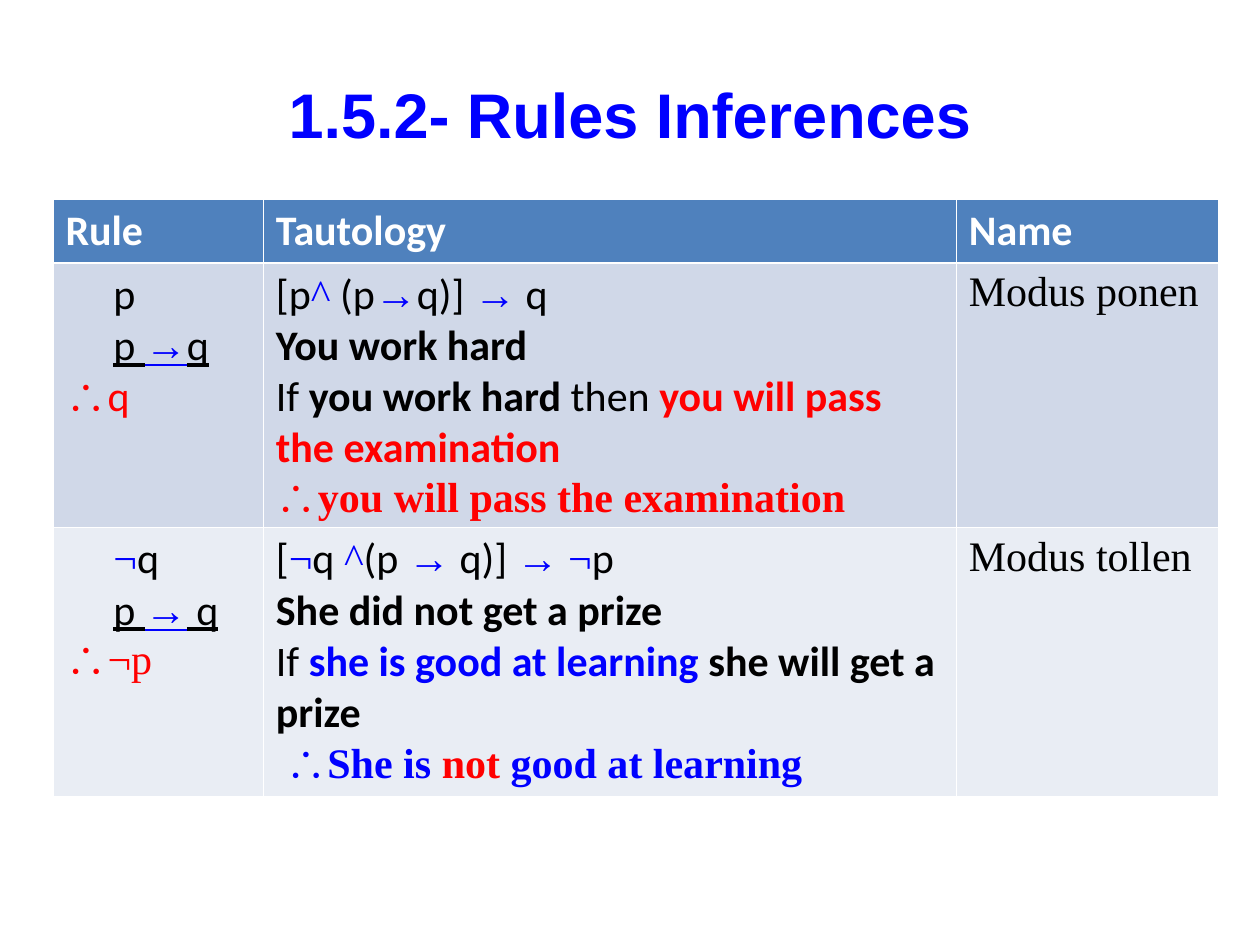
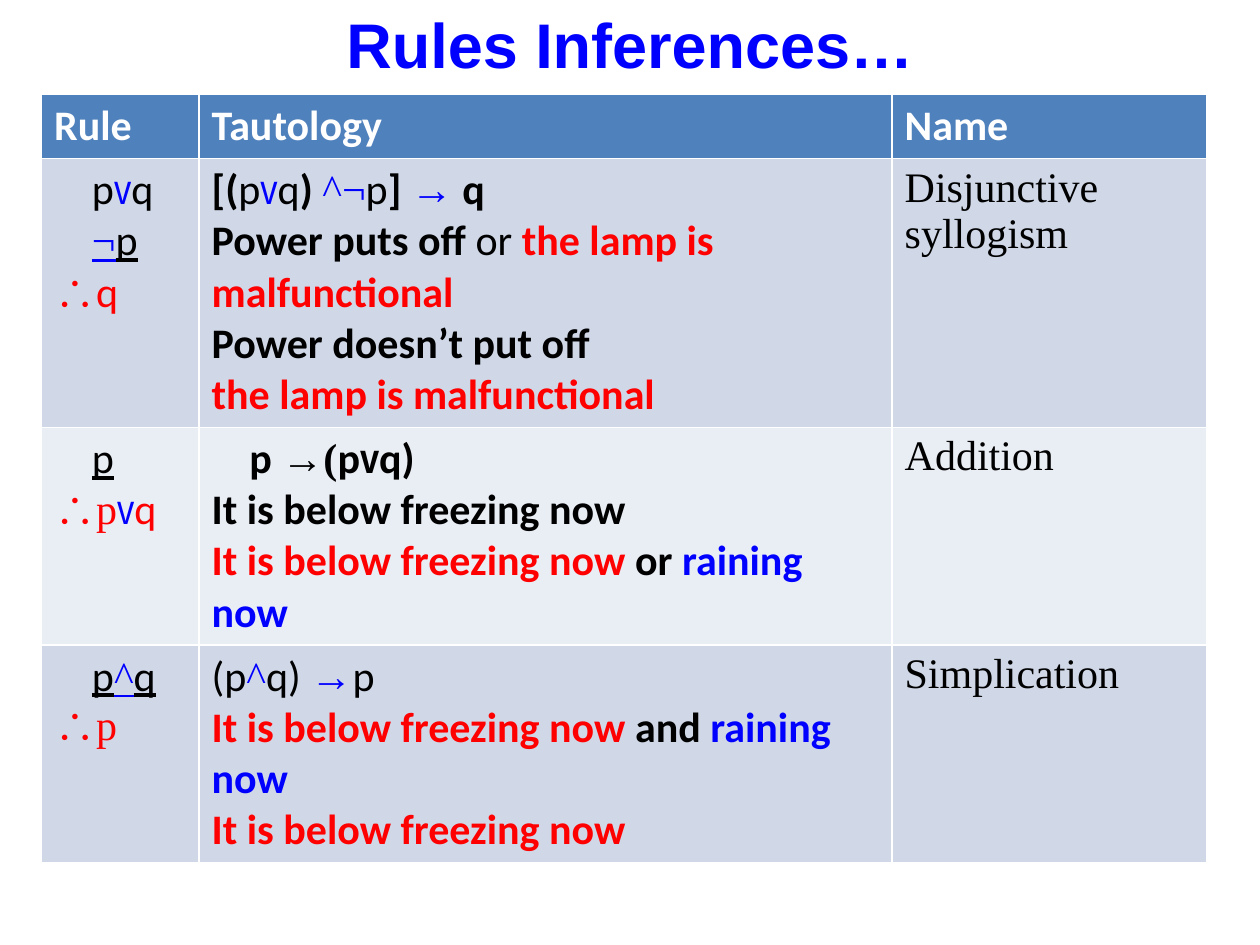
from pptx import Presentation
from pptx.dml.color import RGBColor
from pptx.enum.text import MSO_ANCHOR, MSO_AUTO_SIZE, PP_ALIGN
from pptx.util import Inches, Pt
from lxml.etree import SubElement
from pptx.oxml.ns import qn

INKS = {"red": "FF0000", "blue": "0000FF", "white": "FFFFFF"}
FONTS = {"times": "Times New Roman", "narrow": "Arial Narrow", "arial": "Arial"}
HEAD, BANDS = "4F81BD", ("D0D8E8", "E9EDF4")
LABELS = ("Rule", "Tautology", "Name")

IMPLIES = ("→", "blue times")
AND = ("^", "blue times")
NOT = ("¬", "blue times")
OR = ("v", "blue narrow")
SO = ("∴", "red arial")
FREEZE = "It is below freezing now"
LAMP = "the lamp is malfunctional"
PASS = "you will pass the examination"

MODUS = [
    (
        [["\tp"],
         [("\tp ", "line"), ("→", "blue times line"), ("q", "line")],
         [SO, ("q", "red")]],
        [["[p", AND, " (p", IMPLIES, "q)] ", IMPLIES, " q"],
         [("You work hard", "bold")],
         ["If ", ("you work hard ", "bold"), "then ", (PASS, "red bold")],
         [SO, (PASS, "red times bold")]],
        "Modus ponen",
    ),
    (
        [["\t", NOT, "q"],
         [("\tp ", "line"), ("→", "blue times line"), (" q", "line")],
         [SO, ("¬p", "red times")]],
        [["[", NOT, "q ", AND, "(p ", IMPLIES, " q)] ", IMPLIES, " ", NOT, "p"],
         [("She did not get a prize", "bold")],
         ["If ", ("she is good at learning ", "blue bold"),
          ("she will get a prize", "bold")],
         [" ", ("∴", "blue arial bold"), ("She is ", "blue times bold"),
          ("not ", "red times bold"), ("good at learning", "blue times bold")]],
        "Modus tollen",
    ),
]

MORE = [
    (
        [["\tp", OR, "q"],
         ["\t", ("¬", "blue times line"), ("p", "line")],
         [SO, ("q", "red")]],
        [[("[(", "bold"), "p", OR, "q", (") ", "bold"), AND, NOT, "p",
          ("] ", "bold"), IMPLIES, (" q", "bold")],
         [("Power puts off", "bold"), " or ", (LAMP, "red bold")],
         [("Power doesn’t put off", "bold")],
         [(LAMP, "red bold")]],
        "Disjunctive syllogism",
    ),
    (
        [[("\tp", "line")],
         [SO, ("p", "red times"), OR, ("q", "red")]],
        [[("\tp ", "bold"), ("→(", "times bold"), ("p", "bold"),
          ("v", "narrow bold"), ("q)", "bold")],
         [(FREEZE, "bold")],
         [(FREEZE, "red bold"), (" or ", "bold"), ("raining now", "blue bold")]],
        "Addition",
    ),
    (
        [[("\tp", "line"), ("^", "blue times line"), ("q", "line")],
         [SO, ("p", "red times")]],
        [["(p", AND, "q) ", IMPLIES, "p"],
         [(FREEZE, "red bold"), (" and ", "bold"), ("raining now", "blue bold")],
         [(FREEZE, "red bold")]],
        "Simplication",
    ),
]


def hue(code):
    """Turn a hex string into a colour."""
    return RGBColor.from_string(code)


def style(run, marks, size=24):
    """Format a run from a string of style words."""
    words = marks.split()
    font = run.font
    font.size = Pt(size)
    font.bold = "bold" in words
    font.underline = "line" in words
    font.name = next((FONTS[w] for w in words if w in FONTS), "Calibri")
    font.color.rgb = hue(next((INKS[w] for w in words if w in INKS), "000000"))


def set_tab(para, stop):
    """Give a paragraph one left tab stop."""
    tabs = SubElement(para._p.get_or_add_pPr(), qn("a:tabLst"))
    SubElement(tabs, qn("a:tab"), pos=str(Inches(stop)), algn="l")


def fill_cell(cell, shade, paras, stop=0.38):
    """Shade a cell and write its paragraphs of styled runs."""
    cell.fill.solid()
    cell.fill.fore_color.rgb = hue(shade)
    frame = cell.text_frame
    for i, parts in enumerate(paras):
        para = frame.add_paragraph() if i else frame.paragraphs[0]
        set_tab(para, stop)
        for part in parts:
            text, marks = (part, "") if isinstance(part, str) else part
            run = para.add_run()
            run.text = text
            style(run, marks)


def add_title(slide, text, top, height):
    """Place and format the slide title."""
    title = slide.shapes.title
    title.left, title.top = Inches(0.5), Inches(top)
    title.width, title.height = Inches(9), Inches(height)
    frame = title.text_frame
    frame.text = text
    frame.auto_size = MSO_AUTO_SIZE.NONE
    frame.vertical_anchor = MSO_ANCHOR.MIDDLE
    para = frame.paragraphs[0]
    para.alignment = PP_ALIGN.CENTER
    style(para.runs[0], "blue arial bold", 36)


def add_rules(slide, left, top, widths, heights, rules, stop):
    """Draw a table of rules under a header row."""
    box = [Inches(n) for n in (left, top, sum(widths), sum(heights))]
    table = slide.shapes.add_table(len(heights), len(widths), *box).table
    for col, width in zip(table.columns, widths):
        col.width = Inches(width)
    for row, height in zip(table.rows, heights):
        row.height = Inches(height)
    for c, label in enumerate(LABELS):
        fill_cell(table.cell(0, c), HEAD, [[(label, "white bold")]])
    for r, (rule, proof, name) in enumerate(rules, 1):
        shade = BANDS[(r - 1) % 2]
        for c, paras in enumerate((rule, proof, [[(name, "times")]])):
            fill_cell(table.cell(r, c), shade, paras, stop)


def main():
    """Build both slides and save the deck."""
    deck = Presentation()
    deck.slide_width, deck.slide_height = Inches(10), Inches(7.5)
    layout = deck.slide_layouts[5]

    slide = deck.slides.add_slide(layout)
    add_title(slide, "1.5.2- Rules Inferences", 0.55, 0.7)
    add_rules(slide, 0.42, 1.58, (1.67, 5.5, 2.08), (0.5, 2.1, 2.1), MODUS, 0.38)

    slide = deck.slides.add_slide(layout)
    add_title(slide, "Rules Inferences…", 0.08, 0.53)
    add_rules(slide, 0.33, 0.75, (1.25, 5.5, 2.5), (0.5, 2.1, 1.7, 1.7), MORE, 0.3)

    deck.save("out.pptx")


if __name__ == "__main__":
    main()
